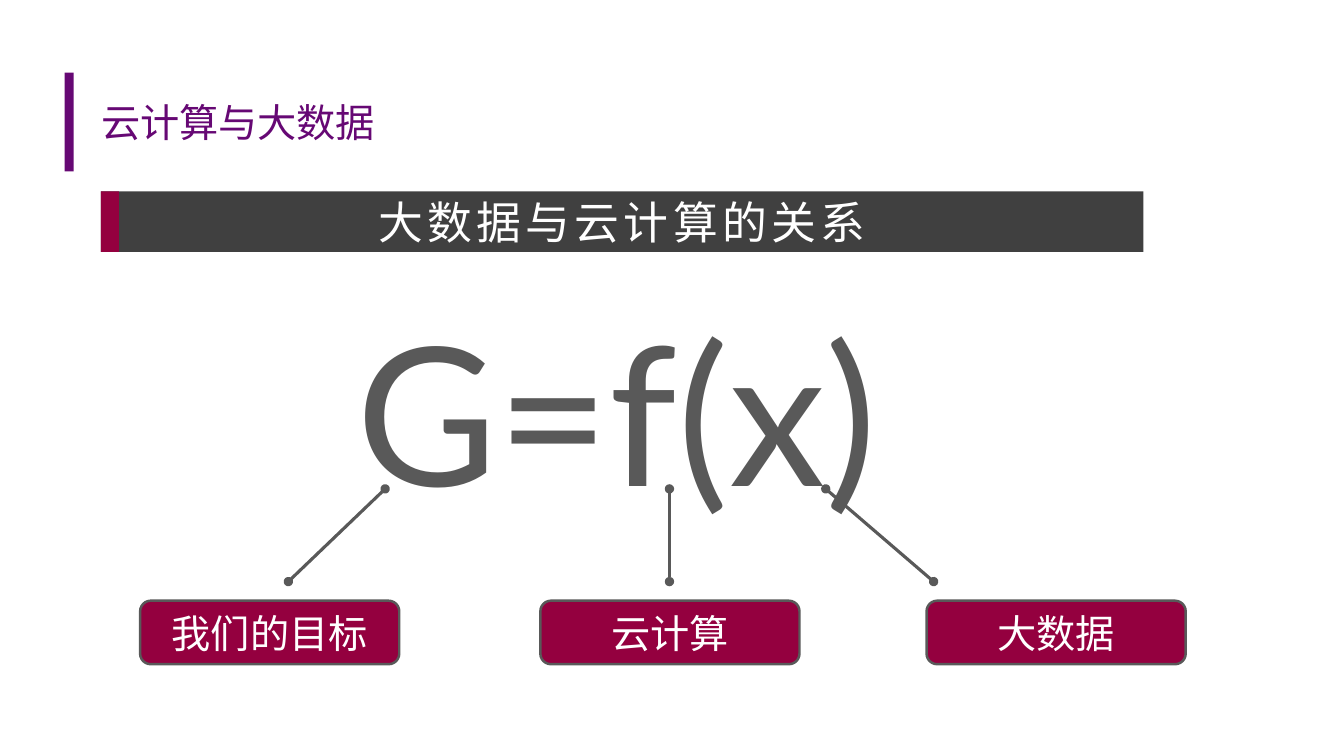
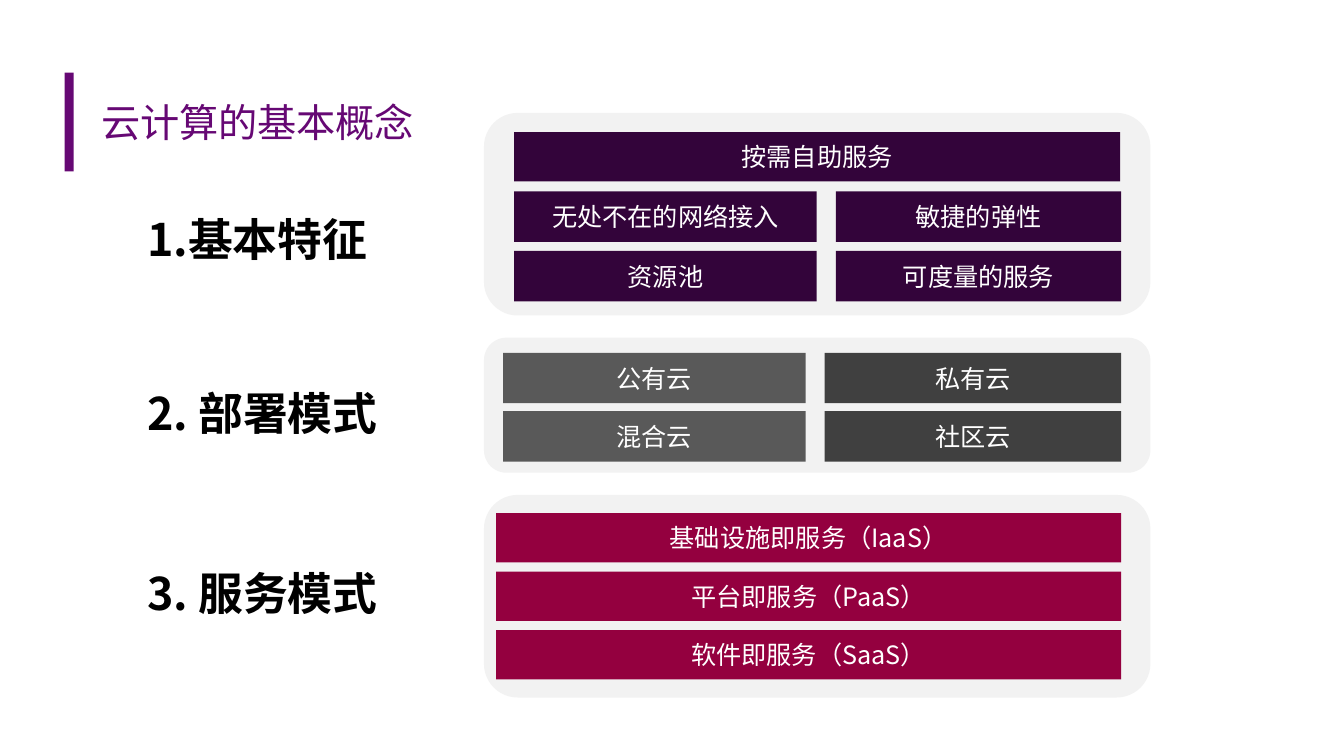
"""Build two slides on cloud computing and big data."""
from lxml import etree
from pptx import Presentation
from pptx.dml.color import RGBColor
from pptx.enum.shapes import MSO_CONNECTOR, MSO_SHAPE
from pptx.enum.text import MSO_ANCHOR, PP_ALIGN
from pptx.oxml.ns import qn
from pptx.util import Inches, Pt

RECT, ROUND = MSO_SHAPE.RECTANGLE, MSO_SHAPE.ROUNDED_RECTANGLE
STRAIGHT = MSO_CONNECTOR.STRAIGHT
LEFT, CENTER = PP_ALIGN.LEFT, PP_ALIGN.CENTER
TOP, MIDDLE = MSO_ANCHOR.TOP, MSO_ANCHOR.MIDDLE

PURPLE = RGBColor(0x66, 0x08, 0x74)
DEEP = RGBColor(0x33, 0x04, 0x3A)
WINE = RGBColor(0x94, 0x00, 0x3F)
DARK = RGBColor(0x40, 0x40, 0x40)
GRAY = RGBColor(0x59, 0x59, 0x59)
PALE = RGBColor(0xF2, 0xF2, 0xF2)
WHITE = RGBColor(0xFF, 0xFF, 0xFF)
BLACK = RGBColor(0, 0, 0)
CJK = "Noto Sans CJK SC"


def write(sp, text, size=18, color=WHITE, font=CJK, bold=False, align=CENTER,
          anchor=MIDDLE, spacing=0, line_spacing=None):
    tf = sp.text_frame
    tf.word_wrap = True
    tf.vertical_anchor = anchor
    p = tf.paragraphs[0]
    p.alignment = align
    if line_spacing:
        p.line_spacing = line_spacing
    r = p.add_run()
    r.text = text
    r.font.size, r.font.bold, r.font.name = Pt(size), bold, font
    r.font.color.rgb = color
    rPr = r._r.get_or_add_rPr()
    etree.SubElement(rPr, qn("a:ea")).set("typeface", CJK)
    if spacing:
        rPr.set("spc", str(round(spacing * 100)))


class Deck:
    def __init__(self):
        self.prs = Presentation()
        self.prs.slide_width, self.prs.slide_height = Inches(13.33), Inches(7.5)

    def slide(self, title):
        self.s = self.prs.slides.add_slide(self.prs.slide_layouts[6])
        self.box(0.64, 0.72, 0.09, 0.98, PURPLE)
        self.text(0.91, 0.65, 11.51, 1.11, title, size=28, color=PURPLE,
                  font="Calibri", anchor=MIDDLE, spacing=-0.1)

    def text(self, x, y, w, h, text, **fmt):
        sp = self.s.shapes.add_textbox(Inches(x), Inches(y), Inches(w), Inches(h))
        write(sp, text, **{"align": LEFT, "anchor": TOP, **fmt})

    def box(self, x, y, w, h, fill, text=None, shape=RECT, line=None, **fmt):
        sp = self.s.shapes.add_shape(shape, Inches(x), Inches(y), Inches(w), Inches(h))
        sp.shadow.inherit = False
        sp.fill.solid()
        sp.fill.fore_color.rgb = fill
        if line:
            sp.line.color.rgb = line
            sp.line.width = Pt(1.75)
        else:
            sp.line.fill.background()
        if text:
            write(sp, text, **fmt)

    def link(self, x1, y1, x2, y2):
        c = self.s.shapes.add_connector(STRAIGHT, Inches(x1), Inches(y1),
                                        Inches(x2), Inches(y2))
        c.line.color.rgb = GRAY
        c.line.width = Pt(2.25)
        ln = c.line._get_or_add_ln()
        for end in ("a:headEnd", "a:tailEnd"):
            etree.SubElement(ln, qn(end)).set("type", "oval")
        etree.SubElement(c._element.spPr, qn("a:effectLst"))

    def column(self, x, y, w, h, pitch, fill, labels):
        for i, label in enumerate(labels):
            self.box(x, y + i * pitch, w, h, fill, label)


def relation_slide(deck):
    deck.slide("云计算与大数据")
    deck.box(1, 1.9, 10.34, 0.6, DARK, "大数据与云计算的关系", size=32, spacing=3)
    deck.box(1, 1.9, 0.18, 0.6, WINE)
    deck.text(3.44, 2.86, 5.96, 2.42, "G=f(x)", size=138, color=GRAY, font="Lato")
    for label, x, start, end in (("我们的目标", 1.39, 3.82, 2.86),
                                 ("云计算", 5.36, 6.64, 6.64),
                                 ("大数据", 9.19, 8.19, 9.26)):
        deck.link(start, 4.85, end, 5.77)
        deck.box(x, 5.96, 2.57, 0.63, WINE, label, shape=ROUND, line=GRAY, size=28)


def concept_slide(deck):
    deck.slide("云计算的基本概念")
    for heading, text_y, panel_y, panel_h in (("1.基本特征", 2, 1.12, 2.01),
                                              ("2. 部署模式", 3.72, 3.35, 1.34),
                                              ("3. 服务模式", 5.51, 4.91, 2.01)):
        deck.box(4.8, panel_y, 6.61, panel_h, PALE, shape=ROUND)
        deck.text(1.36, text_y, 2.95, 0.65, heading, size=32, color=BLACK,
                  bold=True, line_spacing=1.1)
    deck.box(5.1, 1.31, 6.01, 0.49, DEEP, "按需自助服务")
    deck.column(5.1, 1.9, 3, 0.5, 0.59, DEEP, ("无处不在的网络接入", "资源池"))
    deck.column(8.29, 1.9, 2.83, 0.5, 0.59, DEEP, ("敏捷的弹性", "可度量的服务"))
    deck.column(4.99, 3.5, 3, 0.5, 0.58, GRAY, ("公有云", "混合云"))
    deck.column(8.18, 3.5, 2.94, 0.5, 0.58, DARK, ("私有云", "社区云"))
    deck.column(4.92, 5.09, 6.2, 0.49, 0.58, WINE,
                ("基础设施即服务（IaaS）", "平台即服务（PaaS）", "软件即服务（SaaS）"))


def main():
    deck = Deck()
    relation_slide(deck)
    concept_slide(deck)
    deck.prs.save("out.pptx")


if __name__ == "__main__":
    main()
